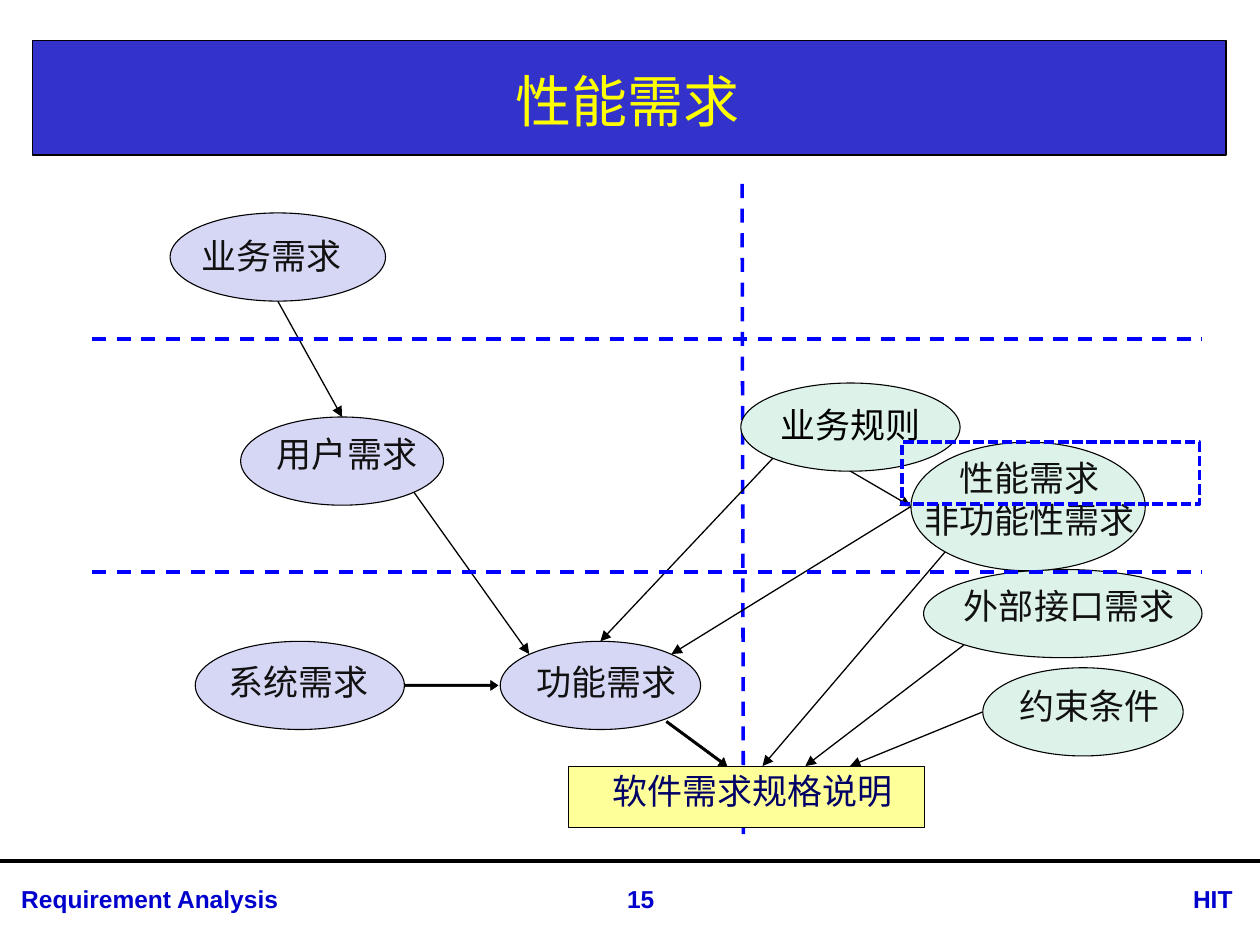
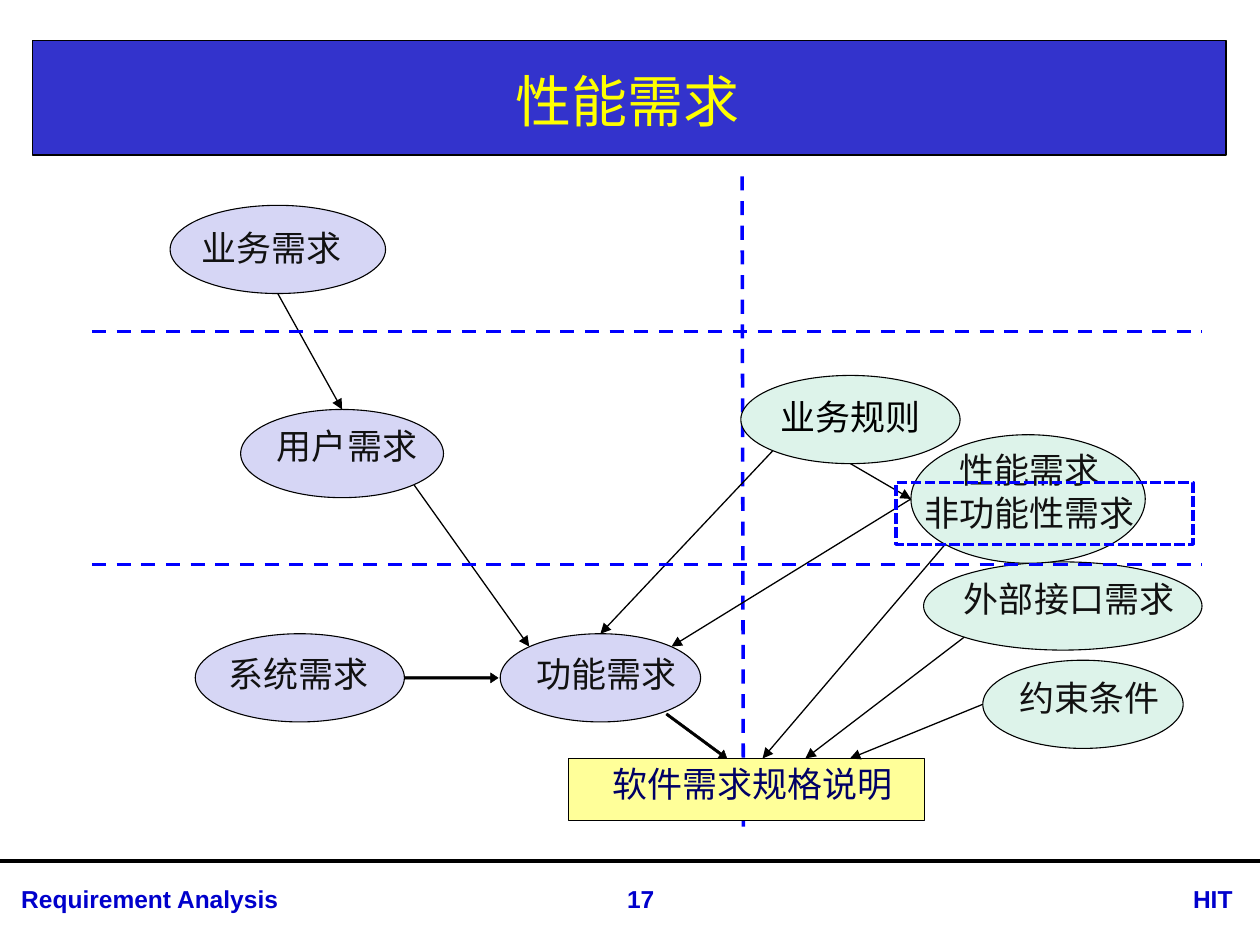
"""Build two slides that place kinds of software requirements on one map."""
from math import hypot

from lxml import etree
from pptx import Presentation
from pptx.dml.color import RGBColor
from pptx.enum.dml import MSO_LINE
from pptx.enum.shapes import MSO_CONNECTOR, MSO_SHAPE
from pptx.enum.text import MSO_ANCHOR, MSO_AUTO_SIZE, PP_ALIGN
from pptx.oxml.ns import qn
from pptx.util import Inches, Pt

OVAL, RECT = MSO_SHAPE.OVAL, MSO_SHAPE.RECTANGLE
DASH, SHORT = MSO_LINE.DASH, MSO_LINE.SQUARE_DOT
LEFT, MID = PP_ALIGN.LEFT, PP_ALIGN.CENTER
WIDE, HIGH = 10, 7.5
HAN, LATIN = "Noto Sans CJK SC", "Arial"
BLACK, INK, NAVY = "000000", "111111", "000066"
BLUE, BAND, FOOT, GOLD = "0000FF", "3333CC", "0000CC", "FFFF00"
LILAC, MINT, CREAM = "D6D6F5", "DDF3EA", "FFFF99"

TITLE = "性能需求"
SIZE = (2.36, 0.49)
PAGES = [
    {"num": "15", "rise": 0, "mark": (7.16, 3.51)},
    {"num": "17", "rise": 0.06, "mark": (7.11, 3.83)},
]

# name: kind, box, fill, label lines, ink, label (shift, drop, width)
NODES = {
    "goal": (OVAL, (1.35, 1.69, 1.71, 0.7), LILAC, ["业务需求"], INK, (-0.05, 0.17, 1.82)),
    "rule": (OVAL, (5.88, 3.04, 1.74, 0.7), MINT, ["业务规则"], BLACK, (0, 0.16, 2.03)),
    "func": (OVAL, (3.97, 5.09, 1.59, 0.7), LILAC, ["功能需求"], INK, (0.05, 0.15, 2.15)),
    "system": (OVAL, (1.55, 5.09, 1.66, 0.7), LILAC, ["系统需求"], INK, (-0.01, 0.15, 2.14)),
    "spec": (RECT, (4.51, 6.08, 2.83, 0.49), CREAM, ["软件需求规格说明"], NAVY, (0.05, 0.03, 3.38)),
    "port": (OVAL, (7.33, 4.52, 2.21, 0.7), MINT, ["外部接口需求"], INK, (0.05, 0.12, 2.52)),
    "user": (OVAL, (1.91, 3.31, 1.61, 0.7), LILAC, ["用户需求"], INK, (0.04, 0.12, 2.14)),
    "limit": (OVAL, (7.8, 5.3, 1.59, 0.7), MINT, ["约束条件"], INK, (0.05, 0.13, 2.18)),
    "other": (OVAL, (7.23, 3.51, 1.86, 1.02), MINT, ["性能需求", "非功能性需求"], INK, (0.01, 0.16, 2.53)),
}

D = 0.71
N, S, W, E = (0, -1), (0, 1), (-1, 0), (1, 0)
NW, NE, SW, SE = (-D, -D), (D, -D), (-D, D), (D, D)
ARROWS = [
    ("user", SE, "func", NW), ("goal", S, "user", N),
    ("rule", SW, "func", N), ("rule", S, "other", W),
    ("other", W, "func", NE), ("other", SW, "spec", (0.09, -1)),
    ("port", SW, "spec", (0.33, -1)), ("limit", W, "spec", (0.58, -1)),
]
BOLD = [("system", E, "func", (-1.02, 0)), ("func", (0.66, 0.82), "spec", (-0.11, -1))]
ROWS = [2.69, 4.54]


def tint(code):
    return RGBColor.from_string(code)


def edge(line, color, width, dash=None):
    line.color.rgb = tint(color)
    line.width = Pt(width)
    if dash:
        line.dash_style = dash


def paint(shape, fill, color, width, dash=None):
    shape.shadow.inherit = False
    if fill:
        shape.fill.solid()
        shape.fill.fore_color.rgb = tint(fill)
    else:
        shape.fill.background()
    edge(shape.line, color, width, dash)


def box(slide, kind, at, fill, color=BLACK, width=0.63, dash=None):
    shape = slide.shapes.add_shape(kind, *map(Inches, at))
    paint(shape, fill, color, width, dash)


def link(slide, start, end, color=BLACK, width=0.75, dash=None, head=False):
    line = slide.shapes.add_connector(MSO_CONNECTOR.STRAIGHT, *map(Inches, (*start, *end)))
    edge(line.line, color, width, dash)
    prop = line.element.spPr
    if head:
        etree.SubElement(prop.find(qn("a:ln")), qn("a:tailEnd"), type="triangle")
    etree.SubElement(prop, qn("a:effectLst"))


def write(frame, lines, size=20, color=INK, font=HAN, bold=False, align=MID, space=None):
    frame.word_wrap = True
    for i, line in enumerate(lines):
        para = frame.add_paragraph() if i else frame.paragraphs[0]
        para.alignment, para.line_spacing = align, space
        para.space_before = Pt(size / 5 if i else 0)
        run = para.add_run()
        run.text = line
        run.font.name, run.font.size, run.font.bold = font, Pt(size), bold
        run.font.color.rgb = tint(color)
        etree.SubElement(run._r.rPr, qn("a:ea"), typeface=font)


def label(slide, at, lines, inset=None, **look):
    frame = slide.shapes.add_textbox(*map(Inches, at)).text_frame
    frame.auto_size = MSO_AUTO_SIZE.SHAPE_TO_FIT_TEXT
    if inset is not None:
        frame.margin_left = frame.margin_right = Inches(inset)
        frame.margin_top = frame.margin_bottom = Inches(inset)
    write(frame, lines, **look)


def block(slide, start, end, thick=0.01, half=0.04, tip=0.06):
    (x, y), (far, low) = start, end
    span = hypot(far - x, low - y)
    ux, uy = (far - x) / span, (low - y) / span
    neck = span - tip
    rim = [(0, -thick), (neck, -thick), (neck, -half), (span, 0),
           (neck, half), (neck, thick), (0, thick)]
    dots = [(Inches(x + a * ux - b * uy), Inches(y + a * uy + b * ux)) for a, b in rim]
    form = slide.shapes.build_freeform(*dots[0])
    form.add_line_segments(dots[1:], close=True)
    paint(form.convert_to_shape(), BLACK, BLACK, 0.25)


def spot(name, side, rise):
    x, y, w, h = NODES[name][1]
    return x + w / 2 * (1 + side[0]), y - rise + h / 2 * (1 + side[1])


def frame(slide, num):
    box(slide, RECT, (0.26, 0.32, 9.47, 0.91), BAND, width=0.75)
    link(slide, (0, 6.83), (WIDE, 6.83), width=2.25)
    foot = [("Requirement Analysis", 0.07, 2.91, LEFT), ("HIT", 9.37, 0.69, LEFT), (num, 4.57, 1.03, MID)]
    for text, x, w, align in foot:
        label(slide, (x, 6.97, w, 0.34), [text], size=14, color=FOOT, font=LATIN, bold=True, align=align)
    title = slide.shapes.title
    title.left, title.top, title.width, title.height = map(Inches, (0.26, 0.36, 9.45, 0.87))
    title.text_frame.vertical_anchor = MSO_ANCHOR.MIDDLE
    write(title.text_frame, [TITLE], size=32, color=GOLD)
    title.element.getparent().append(title.element)


def chart(slide, rise, mark):
    link(slide, (5.89, 1.46 - rise), (5.9, 6.62 - rise), BLUE, 2, DASH)
    for kind, (x, y, w, h), fill, lines, ink, (shift, drop, wide) in NODES.values():
        y -= rise
        box(slide, kind, (x, y, w, h), fill)
        left = x + w / 2 + shift - wide / 2
        space = 0.85 if len(lines) > 1 else None
        label(slide, (left, y + drop, wide, 0.34 * len(lines)), lines, inset=0, color=ink, space=space)
    for tail, out, head, into in BOLD:
        block(slide, spot(tail, out, rise), spot(head, into, rise))
    for tail, out, head, into in ARROWS:
        link(slide, spot(tail, out, rise), spot(head, into, rise), head=True)
    for y in ROWS:
        link(slide, (0.73, y - rise), (9.54, y - rise), BLUE, 2, DASH)
    box(slide, RECT, (*mark, *SIZE), None, BLUE, 2, SHORT)


def main():
    deck = Presentation()
    deck.slide_width, deck.slide_height = Inches(WIDE), Inches(HIGH)
    for page in PAGES:
        slide = deck.slides.add_slide(deck.slide_layouts[5])
        frame(slide, page["num"])
        chart(slide, page["rise"], page["mark"])
    deck.save("out.pptx")


if __name__ == "__main__":
    main()
